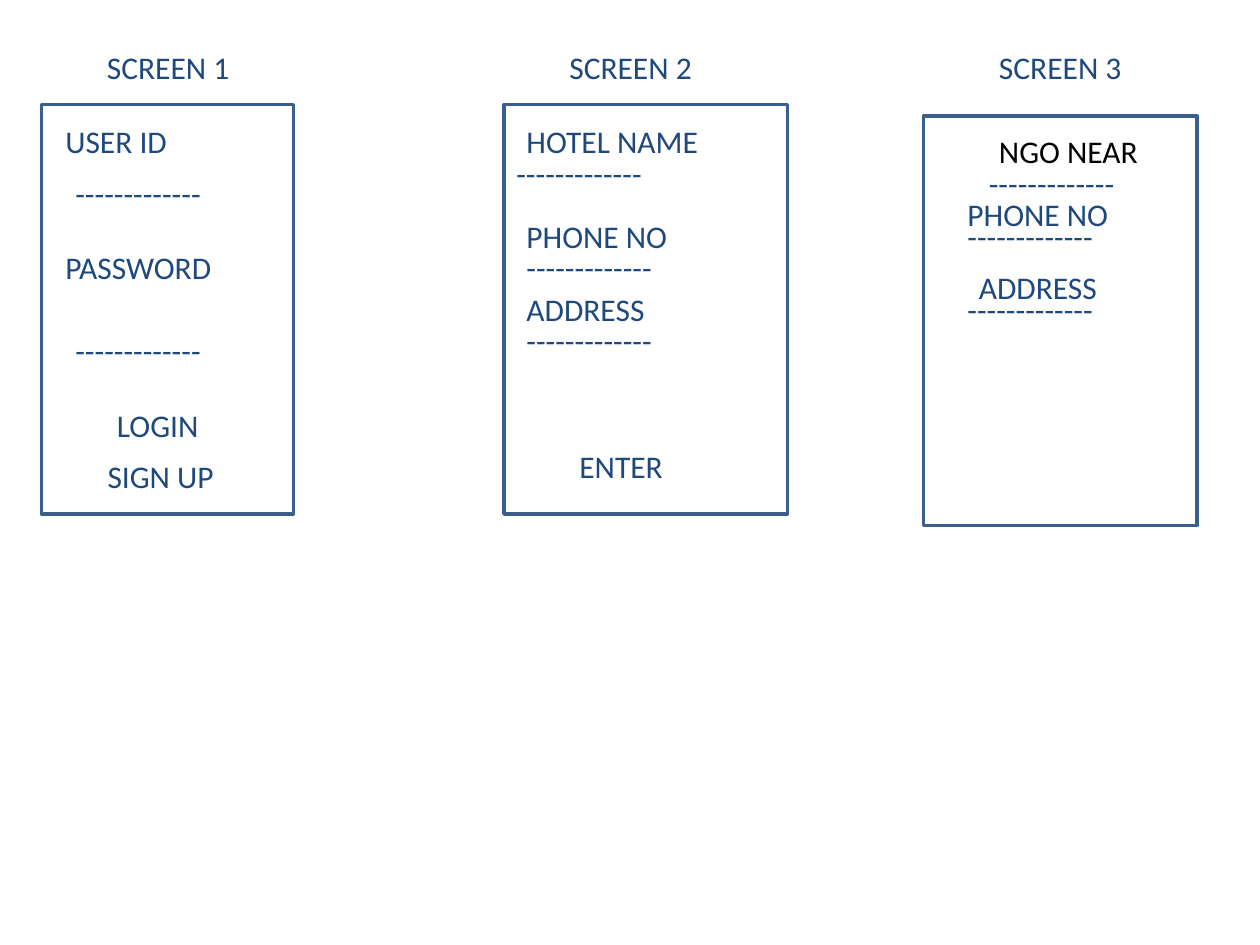
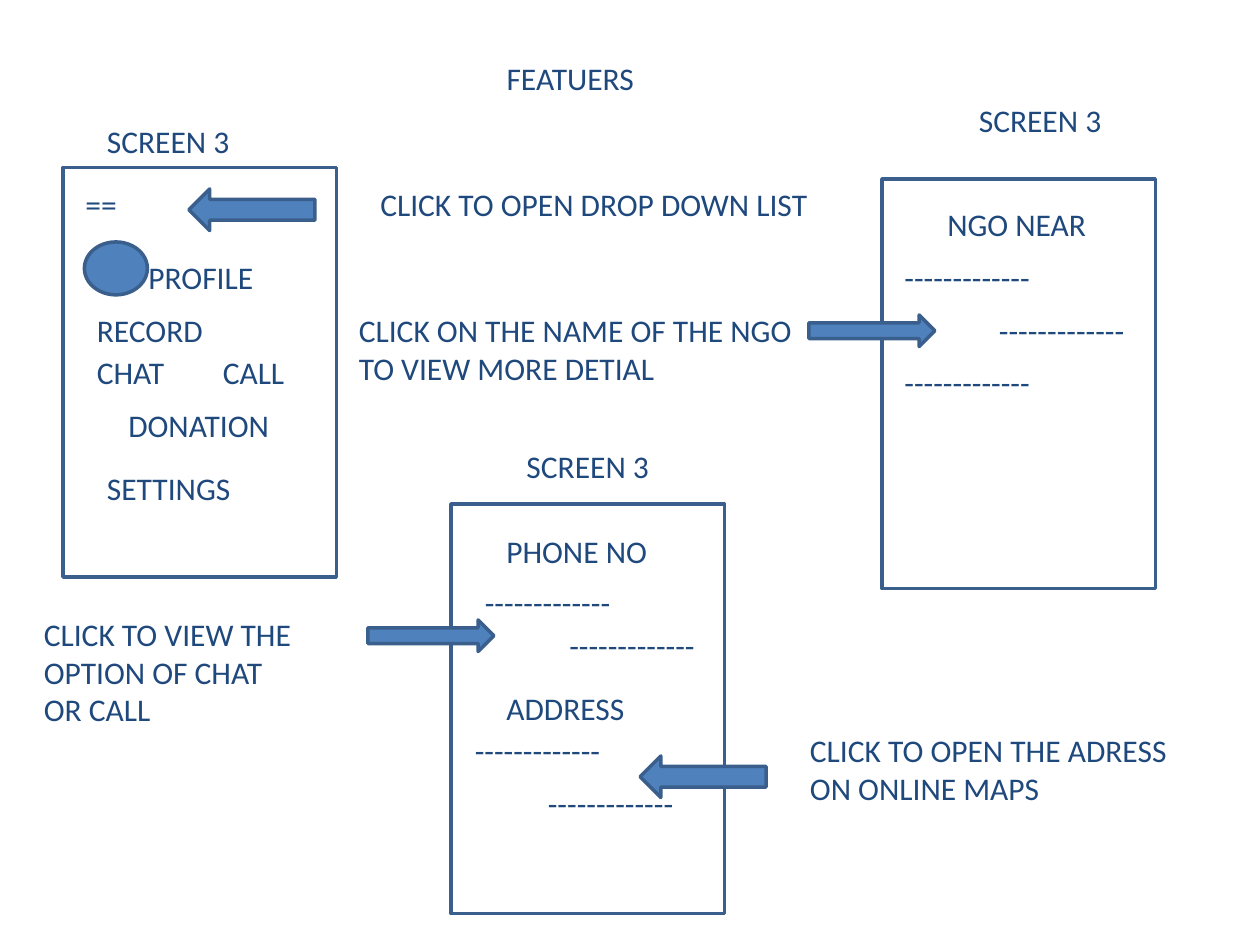
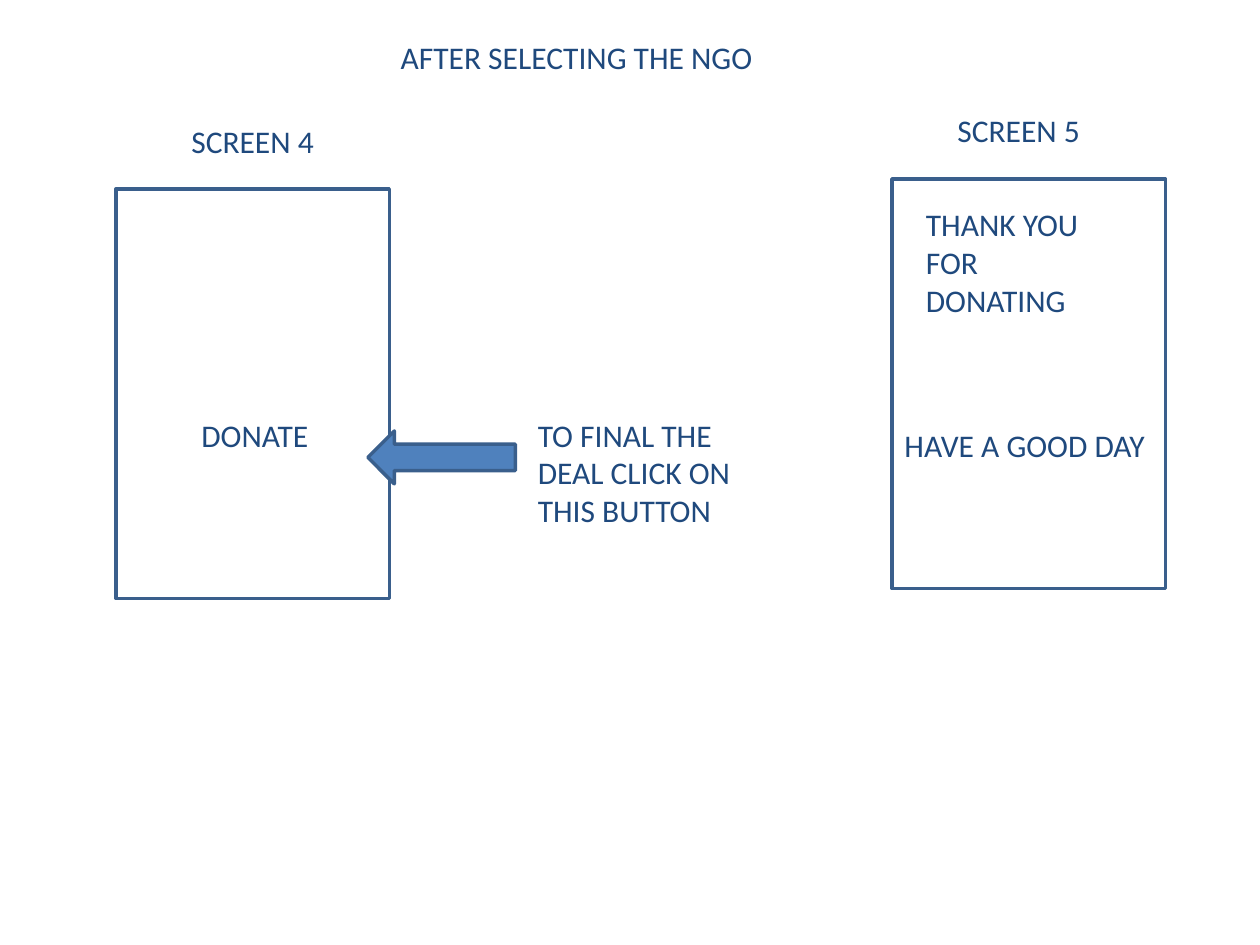
from pptx import Presentation
from pptx.dml.color import RGBColor
from pptx.enum.shapes import MSO_SHAPE
from pptx.enum.text import MSO_ANCHOR, MSO_AUTO_SIZE, PP_ALIGN
from pptx.util import Inches, Pt

RECT, OVAL = MSO_SHAPE.RECTANGLE, MSO_SHAPE.OVAL
LEFT, RIGHT = MSO_SHAPE.LEFT_ARROW, MSO_SHAPE.RIGHT_ARROW
TOP, GROW = MSO_ANCHOR.TOP, MSO_AUTO_SIZE.SHAPE_TO_FIT_TEXT
START, MID = PP_ALIGN.LEFT, PP_ALIGN.CENTER
TITLE_ONLY, BLANK = 5, 6

COLORS = {"text": "1F497D", "dark": "000000", "paper": "FFFFFF",
          "accent": "4F81BD", "line": "3A5F8C"}
FONT = {"name": "Calibri", "size": Pt(18), "bold": False}
FRAME = {"word_wrap": False, "auto_size": GROW, "vertical_anchor": TOP,
         "margin_left": Inches(0.1), "margin_right": Inches(0.1),
         "margin_top": Inches(0.05), "margin_bottom": Inches(0.05)}

# Phone outline and label box sizes, in inches
PHONE_W, PHONE_H = 2.17, 3.25
PAD, ROW = 0.1, 0.305
DASH = "-" * 13
WIDTHS = {
    DASH: 1.2, "PHONE NO": 1.33, "ADDRESS": 1.15, "NGO NEAR": 1.31,
    "LOGIN": 0.86, "SIGN UP": 1.05, "USER ID": 1.02, "PASSWORD": 1.37,
    "HOTEL NAME": 1.58, "ENTER": 0.87, "==": 0.45, "PROFILE": 1.04,
    "RECORD": 1.05, "CALL": 0.7, "CHAT": 0.74, "DONATION": 1.33,
    "SETTINGS": 1.19, "DONATE": 1.06, "HAVE A GOOD DAY": 2.13,
}
SCREEN_W = 1.18


def color(key):
    return RGBColor.from_string(COLORS[key])


def assign(item, values):
    for name, value in values.items():
        setattr(item, name, value)


def place(shape, left, top, width, height):
    assign(shape, {"left": Inches(left), "top": Inches(top),
                   "width": Inches(width), "height": Inches(height)})


def write(shape, text, wrap=False, tone="text", align=START):
    frame = shape.text_frame
    frame.text = text
    assign(frame, {**FRAME, "word_wrap": wrap})
    for para in frame.paragraphs:
        para.alignment = align
        for run in para.runs:
            assign(run.font, FONT)
            run.font.color.rgb = color(tone)


def title(slide, text, left, top, width):
    shape = slide.shapes.title
    write(shape, text)
    place(shape, left, top, width, PAD + ROW)


def note(slide, text, left, top, width, rows=1, wrap=True, **style):
    """Text box that is as high as its rows."""
    box = slide.shapes.add_textbox(Inches(left), Inches(top), Inches(width),
                                   Inches(PAD + ROW * rows))
    write(box, text, wrap, **style)


def label(slide, text, left, top, **style):
    """Single-row label on a phone."""
    note(slide, text, left, top, WIDTHS.get(text, SCREEN_W), wrap=False, **style)


def labels(slide, items):
    for item in items:
        label(slide, *item)


def figure(slide, kind, left, top, width, height, fill="accent"):
    shape = slide.shapes.add_shape(kind, Inches(left), Inches(top),
                                   Inches(width), Inches(height))
    shape.shadow.inherit = False
    shape.fill.solid()
    shape.fill.fore_color.rgb = color(fill)
    shape.line.color.rgb = color("line")
    shape.line.width = Pt(2)


def phone(slide, left, top, width=PHONE_W):
    figure(slide, RECT, left, top, width, PHONE_H, "paper")


def entry(slide):
    # Login
    phone(slide, 0.33, 0.83, 2)
    labels(slide, [
        ("SCREEN 1", 0.75, 0.33), ("USER ID", 0.42, 0.92), (DASH, 0.5, 1.33),
        ("PASSWORD", 0.42, 1.92), (DASH, 0.5, 2.58), ("LOGIN", 0.83, 3.17),
    ])
    label(slide, "SIGN UP", 0.75, 3.58, align=MID)
    # Hotel details
    phone(slide, 4, 0.83, 2.25)
    labels(slide, [
        ("SCREEN 2", 4.42, 0.33), ("HOTEL NAME", 4.08, 0.92), (DASH, 4, 1.17),
        ("PHONE NO", 4.08, 1.67), (DASH, 4.08, 1.92),
        ("ADDRESS", 4.08, 2.25), (DASH, 4.08, 2.5), ("ENTER", 4.5, 3.5),
    ])
    # Nearby NGO
    phone(slide, 7.33, 0.92)
    label(slide, "NGO NEAR", 7.83, 1, tone="dark")
    labels(slide, [
        ("SCREEN 3", 7.83, 0.33), (DASH, 7.75, 1.25),
        ("PHONE NO", 7.58, 1.5), (DASH, 7.58, 1.67),
        ("ADDRESS", 7.67, 2.08), (DASH, 7.58, 2.25),
    ])


def features(slide):
    title(slide, "FEATUERS", 3.92, 0.42, 1.28)
    # Drop-down menu
    phone(slide, 0.5, 1.33)
    labels(slide, [
        ("SCREEN 3", 0.75, 0.92), ("==", 0.58, 1.42), ("PROFILE", 1.08, 2),
        ("RECORD", 0.67, 2.42), ("CHAT", 0.67, 2.75), ("CALL", 1.67, 2.75),
        ("DONATION", 0.92, 3.17), ("SETTINGS", 0.75, 3.67),
    ])
    figure(slide, OVAL, 0.67, 1.92, 0.5, 0.42)
    figure(slide, LEFT, 1.5, 1.5, 1, 0.33)
    note(slide, "CLICK TO OPEN DROP DOWN LIST", 2.92, 1.42, 3.63, wrap=False)
    # List of NGOs
    phone(slide, 7, 1.42)
    labels(slide, [
        ("SCREEN 3", 7.67, 0.75), ("NGO NEAR", 7.42, 1.58),
        (DASH, 7.08, 2), (DASH, 7.83, 2.42), (DASH, 7.08, 2.83),
    ])
    figure(slide, RIGHT, 6.42, 2.5, 1, 0.25)
    note(slide, "CLICK ON THE NAME OF THE NGO\nTO VIEW MORE DETIAL",
         2.75, 2.42, 3.67, 2, wrap=False)
    # Contact details
    phone(slide, 3.58, 4)
    labels(slide, [
        ("SCREEN 3", 4.08, 3.5), ("PHONE NO", 3.92, 4.17),
        (DASH, 3.75, 4.58), (DASH, 4.42, 4.92),
        ("ADDRESS", 3.92, 5.42), (DASH, 3.67, 5.75), (DASH, 4.25, 6.17),
    ])
    figure(slide, RIGHT, 2.92, 4.92, 1, 0.25)
    note(slide, "CLICK TO VIEW THE OPTION OF CHAT OR CALL", 0.25, 4.83, 2.17, 3)
    figure(slide, LEFT, 5.08, 6, 1, 0.33)
    note(slide, "CLICK TO OPEN THE ADRESS ON ONLINE MAPS", 6.33, 5.75, 3.32, 2)


def donation(slide):
    title(slide, "AFTER SELECTING THE NGO", 3.08, 0.25, 3.02)
    # Donate button
    phone(slide, 0.92, 1.5)
    labels(slide, [("SCREEN 4", 1.42, 0.92), ("DONATE", 1.5, 3.25)])
    figure(slide, LEFT, 2.92, 3.42, 1.17, 0.42)
    note(slide, "TO FINAL THE DEAL CLICK ON THIS BUTTON", 4.17, 3.25, 1.93, 3)
    # Thanks
    phone(slide, 7.08, 1.42)
    labels(slide, [("SCREEN 5", 7.5, 0.83), ("HAVE A GOOD DAY", 7.08, 3.33)])
    note(slide, "THANK YOU FOR DONATING", 7.25, 1.58, 1.67, 3)


def main():
    deck = Presentation()
    deck.slide_width, deck.slide_height = Inches(10), Inches(7.5)
    for build, layout in ((entry, BLANK), (features, TITLE_ONLY),
                          (donation, TITLE_ONLY)):
        build(deck.slides.add_slide(deck.slide_layouts[layout]))
    deck.save("out.pptx")


main()
